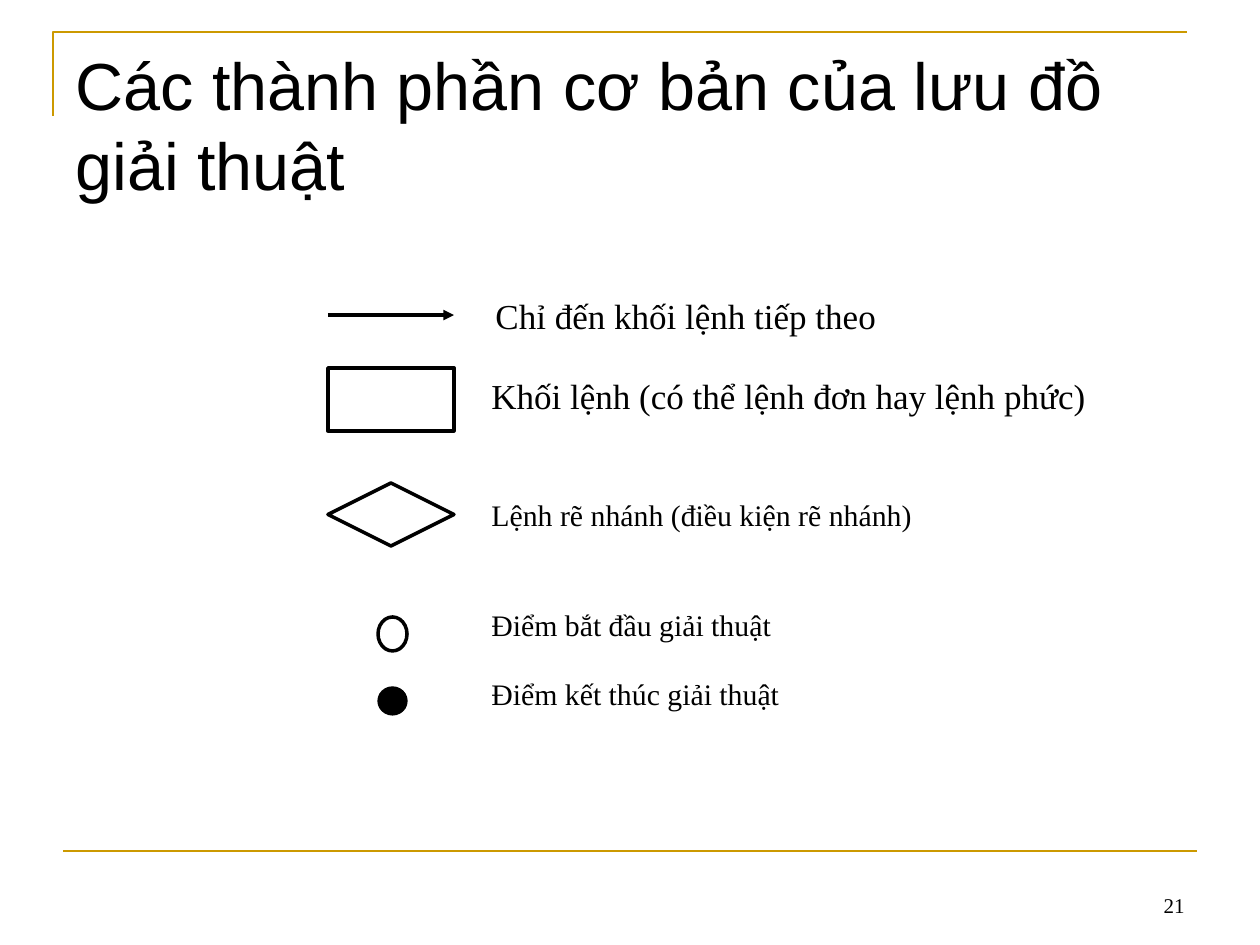
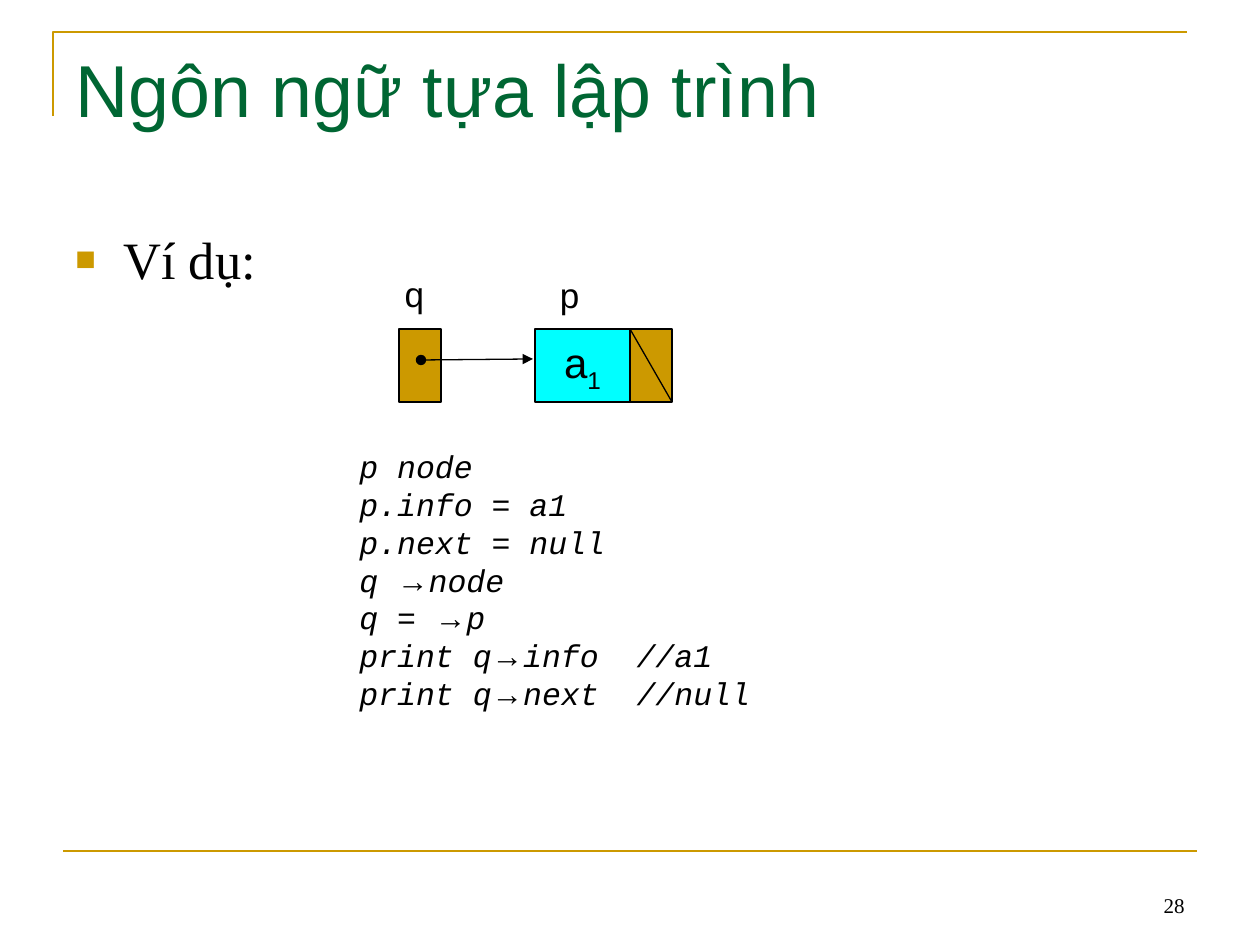
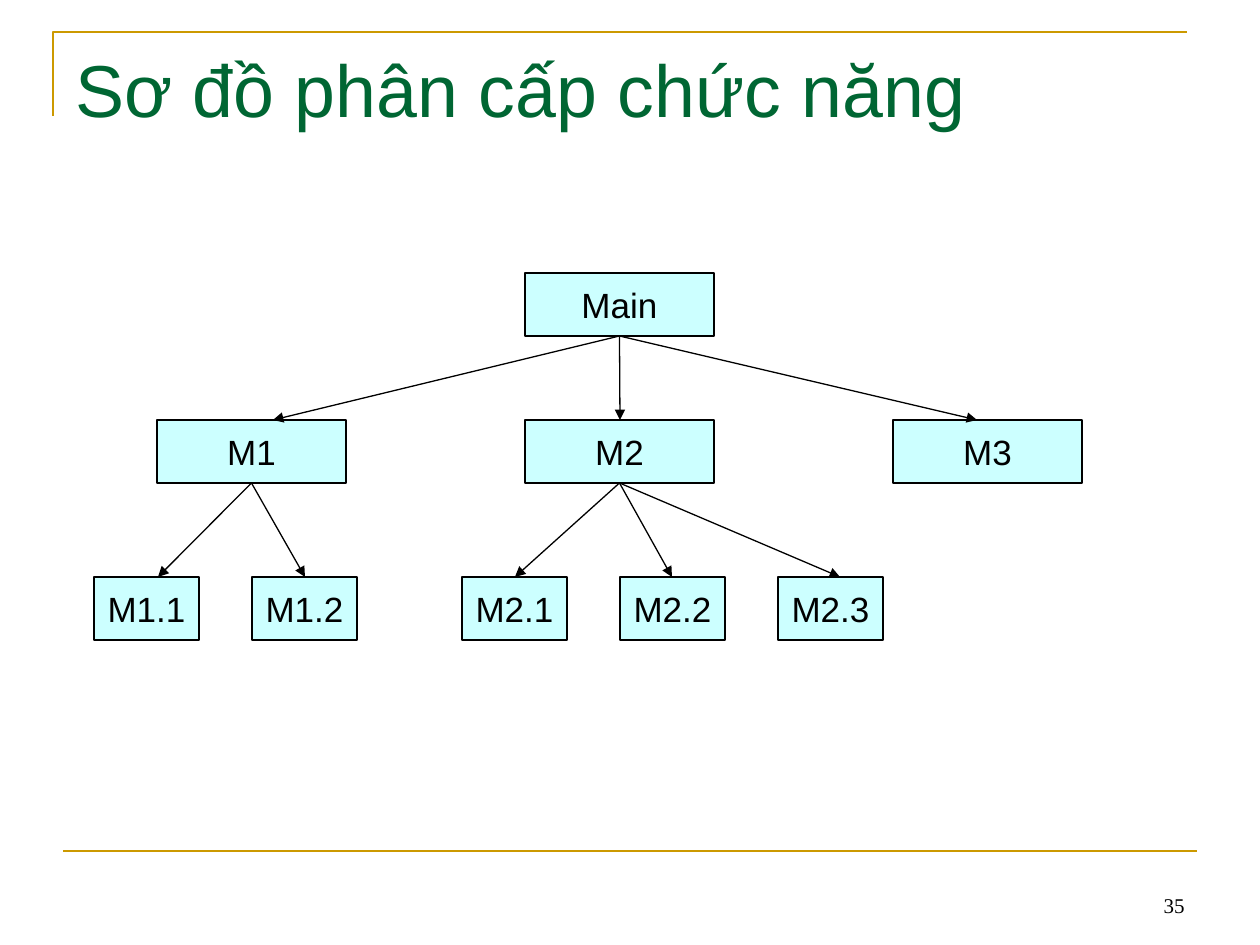
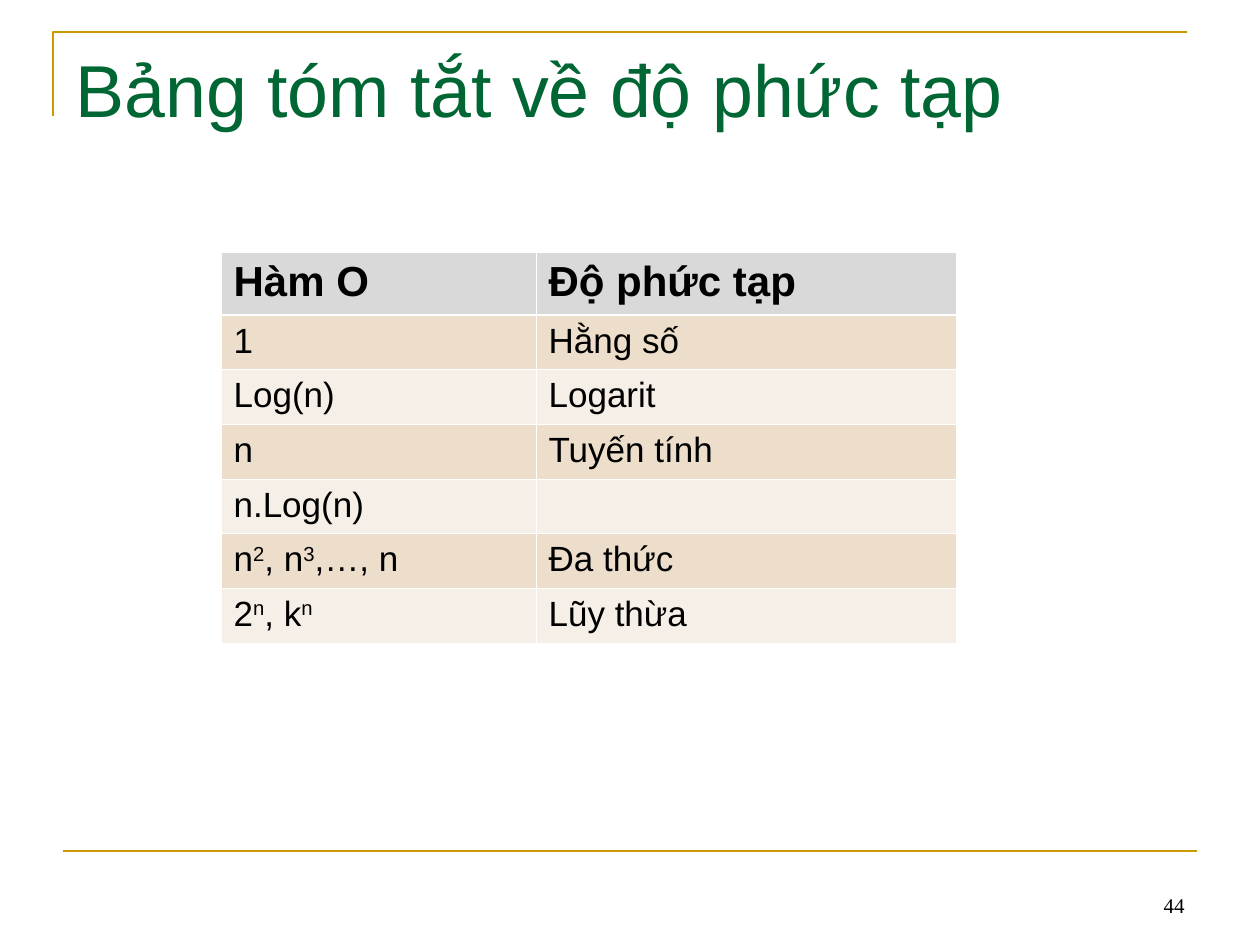
from dataclasses import dataclass
from typing import Any, NamedTuple, Sequence

from lxml.etree import SubElement
from pptx import Presentation
from pptx.dml.color import RGBColor
from pptx.enum.shapes import MSO_CONNECTOR, MSO_SHAPE
from pptx.enum.text import MSO_ANCHOR, PP_ALIGN
from pptx.oxml.ns import qn
from pptx.util import Emu, Pt

PIXEL = 914400 / 126
SANS, SERIF, MONO = "Arial", "Times New Roman", "Courier New"
BLACK, WHITE, GOLD, GREEN = "000000", "FFFFFF", "CC9900", "006633"
CYAN, PALE_CYAN = "00FFFF", "CCFFFF"
HEADER_GREY, BAND_DARK, BAND_LIGHT = "D9D9D9", "ECDECB", "F6EFE7"
THIN, THICK, FRAME_WIDTH = 0.74, 2.01, 1.5


class Box(NamedTuple):
    """A rectangle in pixels."""
    left: float
    top: float
    width: float
    height: float


class Point(NamedTuple):
    """A position in pixels."""
    x: float
    y: float


class Piece(NamedTuple):
    """A stretch of text with its own font or baseline."""
    text: str
    font: str | None = None
    baseline: int = 0


@dataclass(frozen=True)
class TextStyle:
    """The look of a text block."""
    font: str = SANS
    size: float = 20
    color: str = BLACK
    bold: bool = False
    italic: bool = False
    align: PP_ALIGN = PP_ALIGN.LEFT
    anchor: MSO_ANCHOR = MSO_ANCHOR.TOP
    wrap: bool = True
    space_before: float | None = None
    line_spacing: float | None = None
    margin_top: float = 6.3


@dataclass(frozen=True)
class Symbol:
    """A flowchart symbol of the legend."""
    kind: MSO_SHAPE
    box: Box
    fill: str
    weight: float


@dataclass(frozen=True)
class Label:
    """A caption of the legend."""
    text: str
    box: Box
    style: TextStyle


@dataclass(frozen=True)
class Module:
    """A box of the hierarchy, with the end of the arrow that reaches it."""
    name: str
    left: int
    arrow_x: int
    children: tuple["Module", ...] = ()


Line = Sequence[Piece]

TITLE = TextStyle(size=42, color=GREEN)
LONG_TITLE = TextStyle(size=38)
NUMBER = TextStyle(SERIF, 12, align=PP_ALIGN.RIGHT, anchor=MSO_ANCHOR.BOTTOM)
BULLET = TextStyle(SERIF, 30, space_before=7.5)
LEGEND_LARGE = TextStyle(SERIF)
LEGEND_TIGHT = TextStyle(SERIF, margin_top=1)
LEGEND_SMALL = TextStyle(SERIF, 17, line_spacing=0.9)
POINTER_NAME = TextStyle(align=PP_ALIGN.CENTER, space_before=12.5)
NODE_VALUE = TextStyle(size=24, align=PP_ALIGN.CENTER, anchor=MSO_ANCHOR.MIDDLE, wrap=False)
CODE = TextStyle(MONO, 18, italic=True)
MODULE_NAME = TextStyle(align=PP_ALIGN.CENTER, anchor=MSO_ANCHOR.MIDDLE, wrap=False)
TABLE_HEAD = TextStyle(size=24, bold=True)
TABLE_BODY = TextStyle()


def px(length: float) -> Emu:
    """Turn pixels into EMU."""
    return Emu(round(length * PIXEL))


def rgb(color: str) -> RGBColor:
    """Turn a hex string into a colour."""
    return RGBColor.from_string(color)


def apply(target: Any, values: dict[str, Any]) -> None:
    """Set every given attribute on the target."""
    for name, value in values.items():
        if value is not None:
            setattr(target, name, value)


def plain(*texts: str) -> list[Line]:
    """Make one unformatted line of each text."""
    return [[Piece(text)] for text in texts]


def write(frame: Any, lines: Sequence[Line], style: TextStyle) -> None:
    """Fill a text frame with styled lines."""
    for index, line in enumerate(lines):
        paragraph = frame.paragraphs[0] if index == 0 else frame.add_paragraph()
        before = None if style.space_before is None else Pt(style.space_before)
        apply(paragraph, {"alignment": style.align, "space_before": before,
                          "line_spacing": style.line_spacing})
        for piece in line:
            run = paragraph.add_run()
            run.text = piece.text
            apply(run.font, {"name": piece.font or style.font, "size": Pt(style.size),
                             "bold": style.bold, "italic": style.italic})
            run.font.color.rgb = rgb(style.color)
            if piece.baseline:
                run._r.get_or_add_rPr().set("baseline", str(piece.baseline * 1000))


def format_frame(frame: Any, style: TextStyle) -> None:
    """Set wrapping, anchor and margins of a text frame."""
    apply(frame, {"word_wrap": style.wrap, "vertical_anchor": style.anchor,
                  "margin_left": px(12.6), "margin_right": px(12.6),
                  "margin_top": px(style.margin_top), "margin_bottom": px(6.3)})


def add_text(slide: Any, box: Box, lines: Sequence[Line], style: TextStyle) -> Any:
    """Add a text box and return its frame."""
    frame = slide.shapes.add_textbox(*map(px, box)).text_frame
    format_frame(frame, style)
    write(frame, lines, style)
    return frame


def set_line(shape: Any, color: str, weight: float) -> None:
    """Give a shape a solid line."""
    shape.line.color.rgb = rgb(color)
    shape.line.width = Pt(weight)


def add_box(slide: Any, kind: MSO_SHAPE, box: Box, fill: str, weight: float = THIN,
            line: Line = (), style: TextStyle = MODULE_NAME) -> None:
    """Add a filled, outlined shape with an optional line of text."""
    shape = slide.shapes.add_shape(kind, *map(px, box))
    shape.shadow.inherit = False
    shape.fill.solid()
    shape.fill.fore_color.rgb = rgb(fill)
    set_line(shape, BLACK, weight)
    if line:
        format_frame(shape.text_frame, style)
        write(shape.text_frame, [line], style)


def add_line(slide: Any, start: Point, end: Point, color: str = BLACK, weight: float = THIN,
             head: str | None = None, tail: str | None = None) -> None:
    """Add a straight line with optional end marks."""
    connector = slide.shapes.add_connector(MSO_CONNECTOR.STRAIGHT, *map(px, (*start, *end)))
    set_line(connector, color, weight)
    for tag, mark in (("a:headEnd", head), ("a:tailEnd", tail)):
        if mark:
            SubElement(connector.line._get_or_add_ln(), qn(tag), type=mark)
    SubElement(connector._element.spPr, qn("a:effectLst"))


def add_base(presentation: Any, title: str, number: int, style: TextStyle = TITLE) -> Any:
    """Add a slide with its frame lines, title and number."""
    slide = presentation.slides.add_slide(presentation.slide_layouts[6])
    builder = slide.shapes.build_freeform(53, 116, scale=PIXEL)
    builder.add_line_segments([(53, 32), (1187, 32)], close=False)
    corner = builder.convert_to_shape()
    corner.shadow.inherit = False
    corner.fill.background()
    set_line(corner, GOLD, FRAME_WIDTH)
    add_line(slide, Point(63, 851), Point(1197, 851), GOLD, FRAME_WIDTH)
    add_text(slide, Box(63, 38, 1134, 158), plain(title), style)
    add_text(slide, Box(903, 861, 294, 63), plain(str(number)), NUMBER)
    return slide


def add_bullet(paragraph: Any) -> None:
    """Put a gold square before a paragraph."""
    properties = paragraph._p.get_or_add_pPr()
    indent = px(48)
    properties.set("marL", str(indent))
    properties.set("indent", str(-indent))
    SubElement(SubElement(properties, qn("a:buClr")), qn("a:srgbClr"), val=GOLD)
    SubElement(properties, qn("a:buSzPct"), val="65000")
    SubElement(properties, qn("a:buFont"), typeface=SANS)
    SubElement(properties, qn("a:buChar"), char="■")


def build_legend(presentation: Any) -> None:
    """Build the slide of flowchart symbols."""
    slide = add_base(presentation, "Các thành phần cơ bản của lưu đồ giải thuật", 21, LONG_TITLE)
    add_line(slide, Point(328, 315), Point(454, 315), weight=THICK, tail="triangle")
    symbols = (
        Symbol(MSO_SHAPE.RECTANGLE, Box(328, 368, 126, 63), WHITE, THICK),
        Symbol(MSO_SHAPE.FLOWCHART_DECISION, Box(328, 483, 126, 63), WHITE, THICK),
        Symbol(MSO_SHAPE.OVAL, Box(378, 617, 29, 34), WHITE, THICK),
        Symbol(MSO_SHAPE.OVAL, Box(378, 687, 29, 28), BLACK, THIN),
    )
    labels = (
        Label("Chỉ đến khối lệnh tiếp theo", Box(483, 294, 420, 53), LEGEND_TIGHT),
        Label("Khối lệnh (có thể lệnh đơn hay lệnh phức)", Box(479, 368, 645, 63), LEGEND_LARGE),
        Label("Lệnh rẽ nhánh (điều kiện rẽ nhánh)", Box(479, 495, 551, 50), LEGEND_SMALL),
        Label("Điểm bắt đầu giải thuật", Box(479, 605, 378, 50), LEGEND_SMALL),
        Label("Điểm kết thúc giải thuật", Box(479, 674, 378, 50), LEGEND_SMALL),
    )
    for symbol in symbols:
        add_box(slide, symbol.kind, symbol.box, symbol.fill, symbol.weight)
    for label in labels:
        add_text(slide, label.box, plain(label.text), label.style)


def build_pointer_example(presentation: Any) -> None:
    """Build the slide of the pointer drawing and its pseudocode."""
    slide = add_base(presentation, "Ngôn ngữ tựa lập trình", 28)
    body = add_text(slide, Box(63, 221, 1134, 624), plain("Ví dụ:"), BULLET)
    add_bullet(body.paragraphs[0])

    top, height, cell = 329, 73, 42
    value = (Piece("a"), Piece("1", baseline=-25))
    add_box(slide, MSO_SHAPE.RECTANGLE, Box(535, top, 95, height), CYAN, THIN, value, NODE_VALUE)
    for left in (399, 630):
        add_box(slide, MSO_SHAPE.RECTANGLE, Box(left, top, cell, height), GOLD)
    add_line(slide, Point(421, 360), Point(533, 359), head="oval", tail="triangle")
    add_line(slide, Point(630, top), Point(630 + cell, top + height))
    for name, left, label_top in (("q", 378, 266), ("p", 533, 267)):
        add_text(slide, Box(left, label_top, 73, 55), plain(name), POINTER_NAME)

    arrow = Piece("→", SANS)
    pointer_lines = (("q ", "node"), ("q = ", "p"),
                     ("print q", "info  //a1"), ("print q", "next  //null"))
    code = plain("p node", "p.info = a1", "p.next = null")
    code += [[Piece(before), arrow, Piece(after)] for before, after in pointer_lines]
    add_text(slide, Box(347, 441, 473, 315), code, CODE)


def add_module(slide: Any, module: Module, level: int = 0) -> None:
    """Draw a module, its children and the arrows to them."""
    tops, widths, height = (273, 420, 577), (189, 189, 105), 63
    box = Box(module.left, tops[level], widths[level], height)
    add_box(slide, MSO_SHAPE.RECTANGLE, box, PALE_CYAN, line=[Piece(module.name)])
    for child in module.children:
        add_module(slide, child, level + 1)
        start = Point(box.left + box.width / 2, box.top + height)
        add_line(slide, start, Point(child.arrow_x, tops[level + 1]), tail="triangle")


def add_leaves(parent: str, first_left: int, arrows: Sequence[int]) -> tuple[Module, ...]:
    """Make evenly spaced children of a module."""
    return tuple(Module(f"{parent}.{index + 1}", first_left + 158 * index, arrow_x)
                 for index, arrow_x in enumerate(arrows))


def build_hierarchy(presentation: Any) -> None:
    """Build the slide of the function hierarchy."""
    slide = add_base(presentation, "Sơ đồ phân cấp chức năng", 35)
    add_module(slide, Module("Main", 525, 620, (
        Module("M1", 157, 273, add_leaves("M1", 94, (158, 305))),
        Module("M2", 525, 620, add_leaves("M2", 462, (515, 672, 840))),
        Module("M3", 893, 977),
    )))


def set_borders(cell: Any, row: int) -> None:
    """Give a cell white borders, thicker under the heading."""
    thick_side = {0: "a:lnB", 1: "a:lnT"}.get(row)
    for tag in ("a:lnL", "a:lnR", "a:lnT", "a:lnB"):
        weight = Pt(1.47 if tag == thick_side else 0.45)
        border = SubElement(cell._tc.get_or_add_tcPr(), qn(tag), w=str(weight))
        SubElement(SubElement(border, qn("a:solidFill")), qn("a:srgbClr"), val=WHITE)


def build_complexity_table(presentation: Any) -> None:
    """Build the slide of complexity classes."""
    slide = add_base(presentation, "Bảng tóm tắt về độ phức tạp", 44)
    powers = [Piece("n"), Piece("2", baseline=30), Piece(", n"), Piece("3", baseline=30),
              Piece(",…, n")]
    exponentials = [Piece("2"), Piece("n", baseline=30), Piece(", k"), Piece("n", baseline=30)]
    functions = plain("Hàm O", "1", "Log(n)", "n", "n.Log(n)") + [powers, exponentials]
    names = plain("Độ phức tạp", "Hằng số", "Logarit", "Tuyến tính") + [[]]
    names += plain("Đa thức", "Lũy thừa")

    widths, head_height, body_height = (315, 420), 63, 328
    box = Box(221, 252, sum(widths), head_height + body_height)
    table = slide.shapes.add_table(len(names), len(widths), *map(px, box)).table
    table.horz_banding = False
    for column, width in zip(table.columns, widths):
        column.width = px(width)
    for index, content in enumerate(zip(functions, names)):
        table.rows[index].height = px(body_height / (len(names) - 1) if index else head_height)
        fill = (BAND_LIGHT, BAND_DARK)[index % 2] if index else HEADER_GREY
        for column, line in enumerate(content):
            cell = table.cell(index, column)
            set_borders(cell, index)
            cell.fill.solid()
            cell.fill.fore_color.rgb = rgb(fill)
            apply(cell, {"margin_left": px(12.6), "margin_right": px(12.6),
                         "margin_top": px(6.3), "margin_bottom": px(6.3)})
            write(cell.text_frame, [line], TABLE_BODY if index else TABLE_HEAD)


def main() -> None:
    """Build and save the presentation."""
    presentation = Presentation()
    apply(presentation, {"slide_width": px(1260), "slide_height": px(945)})
    for build in (build_legend, build_pointer_example, build_hierarchy, build_complexity_table):
        build(presentation)
    presentation.save("out.pptx")


main()
